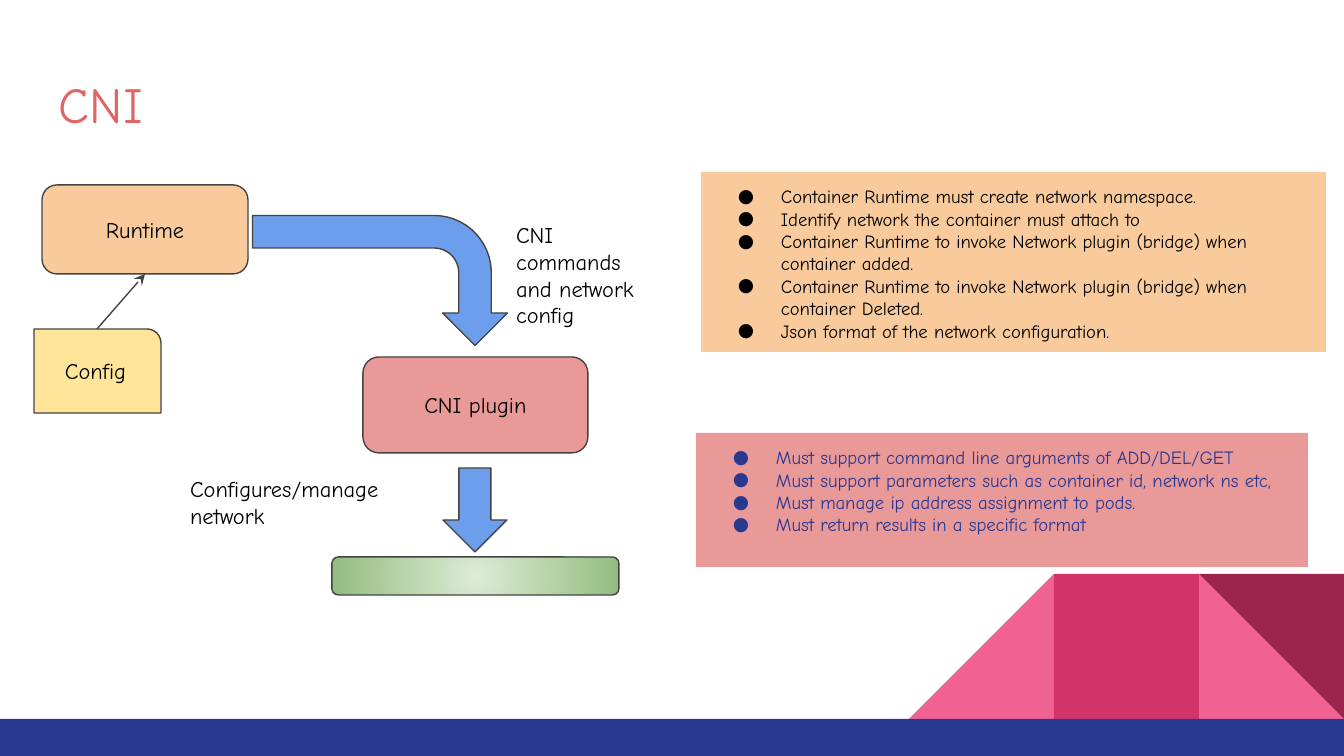
"""Build the CNI slide: runtime-to-plugin flow beside two requirement lists."""
from pptx import Presentation
from pptx.dml.color import RGBColor
from pptx.enum.shapes import MSO_CONNECTOR, MSO_SHAPE
from pptx.enum.text import MSO_ANCHOR, PP_ALIGN
from pptx.oxml.ns import qn
from pptx.util import Pt
from lxml import etree

RECT, ROUND = MSO_SHAPE.RECTANGLE, MSO_SHAPE.ROUNDED_RECTANGLE
TRIANGLE, ROUND1 = MSO_SHAPE.RIGHT_TRIANGLE, MSO_SHAPE.ROUND_1_RECTANGLE
BENT, DOWN = MSO_SHAPE.BENT_ARROW, MSO_SHAPE.DOWN_ARROW
STRAIGHT = MSO_CONNECTOR.STRAIGHT
TOP, MIDDLE = MSO_ANCHOR.TOP, MSO_ANCHOR.MIDDLE
LEFT, CENTER = PP_ALIGN.LEFT, PP_ALIGN.CENTER

BLACK = RGBColor(0x00, 0x00, 0x00)
OUTLINE = RGBColor(0x43, 0x43, 0x43)
NAVY = RGBColor(0x2A, 0x39, 0x90)
PINK = RGBColor(0xF0, 0x62, 0x92)
CRIMSON = RGBColor(0xD2, 0x33, 0x69)
WINE = RGBColor(0x9C, 0x25, 0x4D)
CORAL = RGBColor(0xE0, 0x66, 0x66)
PEACH = RGBColor(0xF9, 0xCB, 0x9C)
ROSE = RGBColor(0xEA, 0x99, 0x99)
YELLOW = RGBColor(0xFF, 0xE5, 0x99)
BLUE = RGBColor(0x6D, 0x9E, 0xEB)
PALE_GREEN = RGBColor(0xDC, 0xEC, 0xD5)
GREEN = RGBColor(0x93, 0xBC, 0x81)

FONT = "Comic Neue"
WIDTH, HEIGHT = 1344, 756
SCALE = 9144000 / WIDTH
TILE, TILE_TOP, BAR_TOP = 145, 574, 719
INSET, BULLET_LEFT, BULLET_HANG = 13, 67, 43

NODES = [
    (ROUND, (42, 185, 206, 89), PEACH, "Runtime"),
    (ROUND, (363, 357, 225, 96), ROSE, "CNI plugin"),
    (ROUND1, (34, 329, 127, 84), YELLOW, "Config"),
]
ARROWS = [
    (BENT, (315, 153, 130, 255), 90, (0.25, 0.25, 0.25, 0.44)),
    (DOWN, (443, 468, 64, 84), 0, (0.5, 0.5)),
]
NETWORK = (332, 557, 287, 38)
CONFIG_LINK = (97, 329, 145, 274)
TEXTS = [
    ((46, 60, 1253, 89), "CNI", 27, CORAL),
    ((503, 208, 172, 85), "CNI commands and network config", 12, BLACK),
    ((177, 462, 255, 85), "Configures/manage network", 12, BLACK),
]
LISTS = [
    ((701, 172, 625, 180), PEACH, BLACK, [
        "Container Runtime must create network namespace.",
        "Identify network the container must attach to",
        "Container Runtime to invoke Network plugin (bridge) when container added.",
        "Container Runtime to invoke Network plugin (bridge) when container Deleted.",
        "Json format of the network configuration.",
    ]),
    ((696, 433, 612, 134), ROSE, NAVY, [
        "Must support command line arguments of ADD/DEL/GET",
        "Must support parameters such as container id, network ns etc,",
        "Must manage ip address assignment to pods.",
        "Must return results in a specific format",
    ]),
]


def px(*values):
    return [round(v * SCALE) for v in values]


def set_line(line):
    line.color.rgb = OUTLINE
    line.width = Pt(0.75)


def add_shape(shapes, kind, box, fill=None, outlined=False, adjust=()):
    sp = shapes.add_shape(kind, *px(*box))
    sp.shadow.inherit = False
    if fill is not None:
        sp.fill.solid()
        sp.fill.fore_color.rgb = fill
    if outlined:
        set_line(sp.line)
    else:
        sp.line.fill.background()
    for i, value in enumerate(adjust):
        sp.adjustments[i] = value
    return sp


def add_bullet(p, color):
    pPr = p._p.get_or_add_pPr()
    left, hang = px(BULLET_LEFT, BULLET_HANG)
    pPr.set("marL", str(left))
    pPr.set("indent", str(-hang))
    bu_color = etree.SubElement(pPr, qn("a:buClr"))
    etree.SubElement(bu_color, qn("a:srgbClr"), val=str(color))
    etree.SubElement(pPr, qn("a:buFont"), typeface=FONT)
    etree.SubElement(pPr, qn("a:buChar"), char="●")


def set_text(sp, lines, size, color, align=LEFT, anchor=TOP, bullets=False):
    tf = sp.text_frame
    tf.word_wrap = True
    tf.vertical_anchor = anchor
    tf.margin_left, tf.margin_top, tf.margin_right, tf.margin_bottom = px(*[INSET] * 4)
    tf.text = "\n".join(lines)
    for p in tf.paragraphs:
        p.alignment = align
        if bullets:
            add_bullet(p, color)
        for r in p.runs:
            r.font.name = FONT
            r.font.size = Pt(size)
            r.font.color.rgb = color


def add_backdrop(shapes):
    right = WIDTH - TILE
    tiles = [(TRIANGLE, 0, PINK), (TRIANGLE, 2, PINK), (RECT, 1, CRIMSON), (TRIANGLE, 0, WINE)]
    near, far, _, corner = [
        add_shape(shapes, kind, (right - n * TILE, TILE_TOP, TILE, TILE), fill)
        for kind, n, fill in tiles
    ]
    far._element.spPr.find(qn("a:xfrm")).set("flipH", "1")
    corner.rotation = 180
    add_shape(shapes, RECT, (0, BAR_TOP, WIDTH, HEIGHT - BAR_TOP), NAVY)


def add_network(shapes):
    sp = add_shape(shapes, ROUND, NETWORK, outlined=True)
    sp.fill.gradient()
    for stop, color in zip(sp.fill.gradient_stops, (PALE_GREEN, GREEN)):
        stop.color.rgb = color
    grad = sp._element.spPr.find(qn("a:gradFill"))
    grad.remove(grad.find(qn("a:lin")))
    radial = etree.SubElement(grad, qn("a:path"), {"path": "circle"})
    etree.SubElement(radial, qn("a:fillToRect"), dict.fromkeys("ltrb", "50000"))


def add_link(shapes):
    link = shapes.add_connector(STRAIGHT, *px(*CONFIG_LINK))
    set_line(link.line)
    etree.SubElement(link.line._get_or_add_ln(), qn("a:tailEnd"), type="stealth")
    etree.SubElement(link._element.spPr, qn("a:effectLst"))


def main():
    prs = Presentation()
    prs.slide_width, prs.slide_height = px(WIDTH, HEIGHT)
    shapes = prs.slides.add_slide(prs.slide_layouts[6]).shapes
    add_backdrop(shapes)
    for kind, box, fill, label in NODES:
        sp = add_shape(shapes, kind, box, fill, True)
        set_text(sp, [label], 12, BLACK, CENTER, MIDDLE)
    add_network(shapes)
    for kind, box, angle, adjust in ARROWS:
        add_shape(shapes, kind, box, BLUE, True, adjust).rotation = angle
    add_link(shapes)
    for box, text, size, color in TEXTS:
        set_text(shapes.add_textbox(*px(*box)), [text], size, color)
    for box, fill, color, items in LISTS:
        sp = add_shape(shapes, RECT, box, fill)
        set_text(sp, items, 10, color, bullets=True)
    prs.save("out.pptx")


if __name__ == "__main__":
    main()
